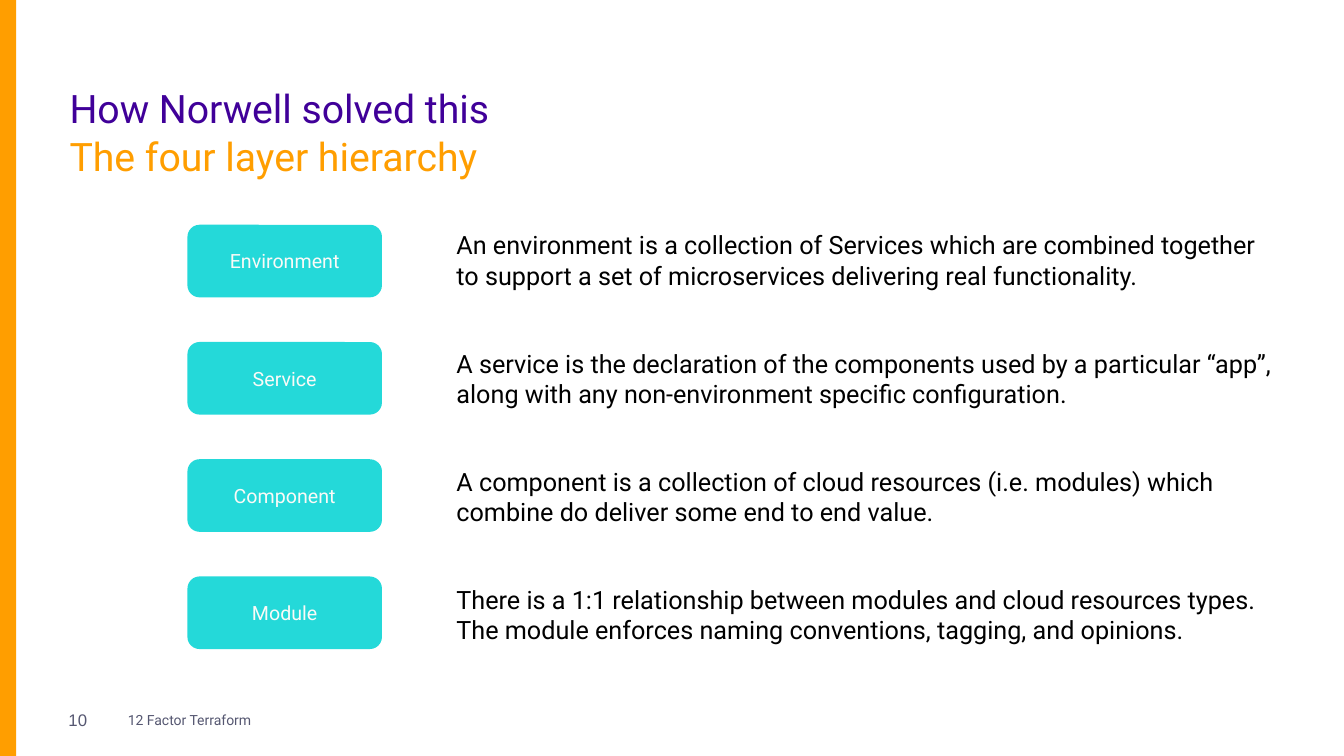
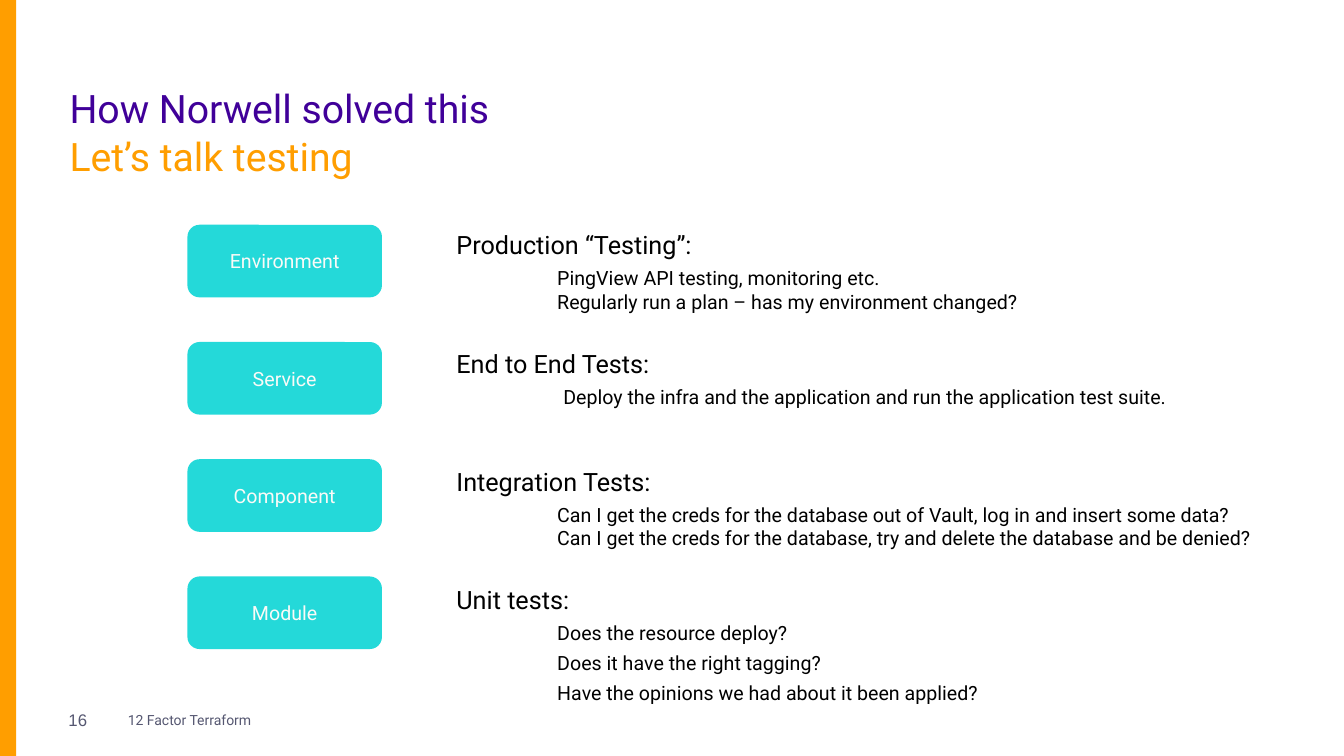
from pptx import Presentation
from pptx import util as u
from pptx.dml.color import RGBColor
from pptx.enum import shapes, text

ORANGE = RGBColor(0xFF, 0x9E, 0x00)
PURPLE = RGBColor(0x40, 0x00, 0x99)
TEAL = RGBColor(0x24, 0xD9, 0xD9)
CREAM = RGBColor(0xFA, 0xFA, 0xF7)
SLATE = RGBColor(0x55, 0x57, 0x71)
BLACK = RGBColor(0, 0, 0)
WHITE = RGBColor(0xFF, 0xFF, 0xFF)

COLS, ROWS = 133.33, 75
CELL = u.Inches(0.1)
LEFT, TOP = 6.9, 22.3
BOX_STEP, TEXT_STEP = 11.63, 11.73
PAD = (1, 0.5, 1, 0.5)
MIDDLE = text.MSO_ANCHOR.MIDDLE
LAYERS = ("Environment", "Service", "Component", "Module")


def grid(*cells):
    return [round(n * CELL) for n in cells]


class Deck:
    def __init__(self):
        self.prs = Presentation()
        self.prs.slide_width, self.prs.slide_height = grid(COLS, ROWS)
        self.slide = None

    def page(self, num, head, sub):
        """Start a slide with its band, two-line title and footer."""
        self.slide = self.prs.slides.add_slide(self.prs.slide_layouts[6])
        fill = self.slide.background.fill
        fill.solid()
        fill.fore_color.rgb = WHITE
        self.shape(shapes.MSO_SHAPE.RECTANGLE, (0, 0, 1.6, ROWS), ORANGE)
        self.title(head, 8.9, PURPLE, 0.9)
        self.title(sub, 12.2, ORANGE, 1.2)
        frame = self.label((6.8, 67.8, 3.3, 7.2), anchor=MIDDLE)
        self.add_run(frame.paragraphs[0], num, 12, SLATE, "Arial")
        frame = self.label((11.7, 67.8, 40, 7.2), PAD, MIDDLE)
        self.add_run(frame.paragraphs[0], "12 Factor Terraform", 10, SLATE)

    def shape(self, kind, place, color):
        item = self.slide.shapes.add_shape(kind, *grid(*place))
        item.shadow.inherit = False
        item.fill.solid()
        item.fill.fore_color.rgb = color
        item.line.fill.background()
        return item

    def label(self, place, pad=(0, 0, 0, 0), anchor=text.MSO_ANCHOR.TOP):
        frame = self.slide.shapes.add_textbox(*grid(*place)).text_frame
        frame.word_wrap = True
        frame.vertical_anchor = anchor
        (frame.margin_left, frame.margin_top,
         frame.margin_right, frame.margin_bottom) = grid(*pad)
        return frame

    def add_run(self, para, words, size, color, font="Roboto"):
        run = para.add_run()
        run.text = words
        run.font.size = u.Pt(size)
        run.font.name = font
        run.font.color.rgb = color

    def title(self, words, top, color, lead):
        para = self.label((LEFT, top, 74.8, 3.5)).paragraphs[0]
        para.line_spacing = lead
        self.add_run(para, words, 28, color)

    def layers(self):
        for i, name in enumerate(LAYERS):
            box = self.shape(shapes.MSO_SHAPE.ROUNDED_RECTANGLE,
                             (18.6, TOP + i * BOX_STEP, 19.3, 7.2), TEAL)
            box.text_frame.vertical_anchor = MIDDLE
            para = box.text_frame.paragraphs[0]
            para.alignment = text.PP_ALIGN.CENTER
            self.add_run(para, name, 14, CREAM)

    def notes(self, row, head, points=(), inset=10, gaps=(4.5, 0)):
        """Set the text beside a layer: a lead line, then indented points."""
        high = 7.1 if len(points) < 2 else 4.7 + 2.6 * len(points)
        frame = self.label((44.3, TOP + row * TEXT_STEP, 83.6, high), PAD)
        frame.auto_size = text.MSO_AUTO_SIZE.SHAPE_TO_FIT_TEXT
        self.add_run(frame.paragraphs[0], head, 18, BLACK)
        for words, gap in zip(points, gaps):
            para = frame.add_paragraph()
            para.space_before = u.Pt(gap)
            para._p.get_or_add_pPr().set("marL", str(grid(inset)[0]))
            self.add_run(para, words, 14, BLACK)


def main():
    deck = Deck()
    deck.page("10", "How Norwell solved this", "The four layer hierarchy")
    deck.layers()
    for row, words in enumerate((
        "An environment is a collection of Services which are combined "
        "together to support a set of microservices delivering real "
        "functionality.",
        "A service is the declaration of the components used by a particular "
        "“app”, along with any non-environment specific configuration.",
        "A component is a collection of cloud resources (i.e. modules) which "
        "combine do deliver some end to end value.",
        "There is a 1:1 relationship between modules and cloud resources "
        "types. The module enforces naming conventions, tagging, and "
        "opinions.",
    )):
        deck.notes(row, words)

    deck.page("16", "How Norwell solved this", "Let’s talk testing")
    deck.layers()
    deck.notes(0, "Production “Testing”:", (
        "PingView API testing, monitoring etc.",
        "Regularly run a plan – has my environment changed?"))
    deck.notes(1, "End to End Tests:", (
        "Deploy the infra and the application and run the application "
        "test suite.",), inset=10.6)
    deck.notes(2, "Integration Tests:", (
        "Can I get the creds for the database out of Vault, log in and "
        "insert some data?",
        "Can I get the creds for the database, try and delete the database "
        "and be denied?"))
    deck.notes(3, "Unit tests:", (
        "Does the resource deploy?",
        "Does it have the right tagging?",
        "Have the opinions we had about it been applied?"), gaps=(4.5,) * 3)
    deck.prs.save("out.pptx")


if __name__ == "__main__":
    main()
